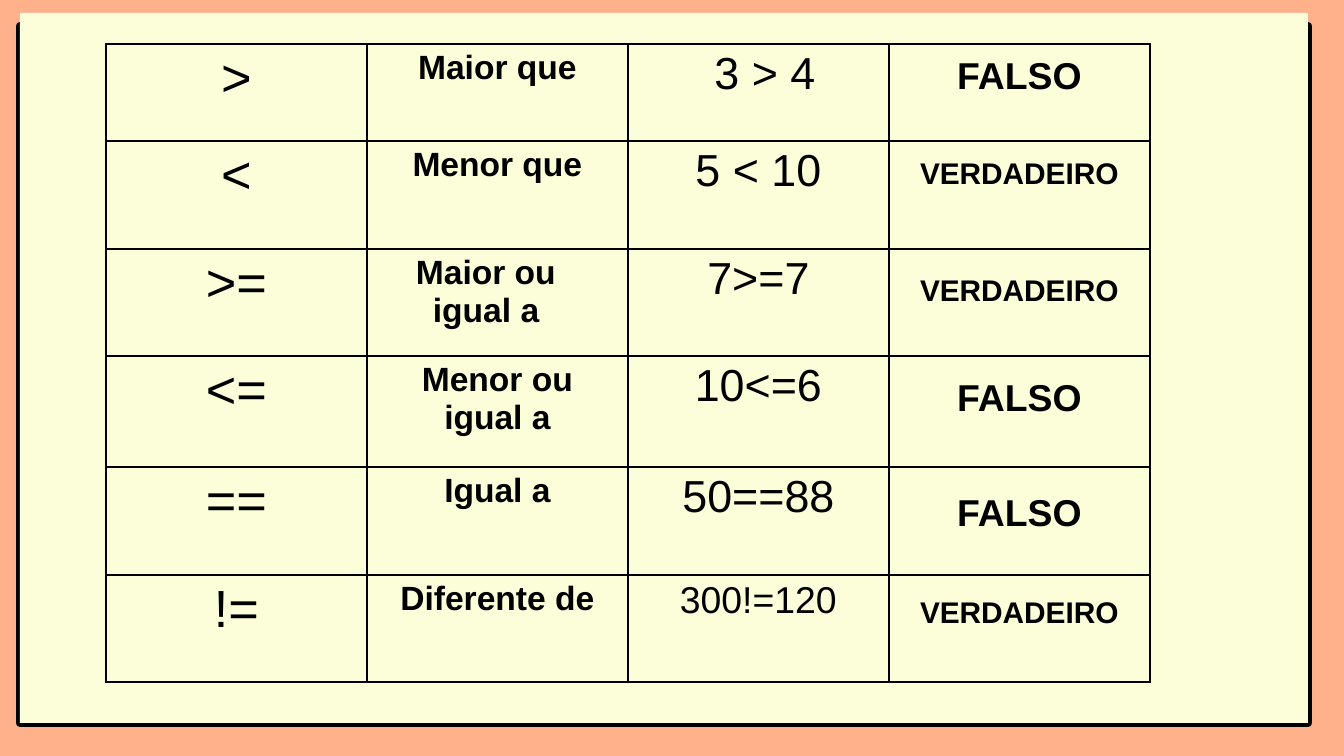
from pptx import Presentation, util as u
from pptx.dml.color import RGBColor
from pptx.enum import shapes, text
from pptx.oxml import parse_xml
from pptx.oxml.ns import nsdecls

EMU_PER_PX = 914400 / 134.4
COLORS = {"background": "FEB18B", "panel": "FBFED9", "ink": "000000"}
FONT = "Arial"

COL_WIDTH = 261
ROW_HEIGHTS = [97, 108, 107, 111, 108, 107]
TOP_MARGIN = 5
# operator, meaning (one paragraph a line), example, result, top margin of result
ROWS = [
    (">", "Maior que", "3 > 4", "FALSO", 12),
    ("<", "Menor que", "5 < 10", "VERDADEIRO", 17),
    (">=", "Maior ou igual a", "7>=7", "VERDADEIRO", 26),
    ("<=", "Menor ou\nigual a", "10<=6", "FALSO", 22),
    ("==", "Igual a", "50==88", "FALSO", 26),
    ("!=", "Diferente de", "300!=120", "VERDADEIRO", 22),
]


def px(n):
    return u.Emu(round(n * EMU_PER_PX))


def color(name):
    return RGBColor.from_string(COLORS[name])


def style_panel(sp, line_width=None):
    sp.shadow.inherit = False
    sp.fill.solid()
    sp.fill.fore_color.rgb = color("panel")
    if line_width:
        sp.line.color.rgb = color("ink")
        sp.line.width = u.Pt(line_width)
    else:
        sp.line.fill.background()


def add_panel(s):
    """Cream sheet over an outlined sheet that shows as its hard shadow."""
    left, top, right, bottom = 20, 26, 1308, 723
    fb = s.shapes.build_freeform(px(left), px(top))
    fb.add_line_segments(
        [(px(right), px(top)), (px(right), px(bottom)), (px(left), px(bottom))])
    style_panel(fb.convert_to_shape(), 4.5)
    style_panel(s.shapes.add_shape(
        shapes.MSO_SHAPE.RECTANGLE, px(left), px(13), px(right - left), px(710)))


def set_borders(cell):
    tc_pr = cell._tc.get_or_add_tcPr()
    for i, side in enumerate("LRTB"):
        tc_pr.insert(i, parse_xml(
            f'<a:ln{side} {nsdecls("a")} w="{u.Pt(1)}"><a:solidFill>'
            f'<a:srgbClr val="{COLORS["ink"]}"/></a:solidFill></a:ln{side}>'))


def fill_cell(cell, words, size, bold=False, top=TOP_MARGIN):
    cell.fill.background()
    set_borders(cell)
    cell.margin_left = cell.margin_right = cell.margin_bottom = 0
    cell.margin_top = px(top)
    tf = cell.text_frame
    tf.text = words
    for p in tf.paragraphs:
        p.alignment = text.PP_ALIGN.CENTER
        p.font.name = FONT
        p.font.size = u.Pt(size)
        p.font.bold = bold
        p.font.color.rgb = color("ink")


def set_indent(cell, left, first=0):
    p = cell.text_frame.paragraphs[0]
    p_pr = p._p.get_or_add_pPr()
    p_pr.set("marL", str(px(left)))
    p_pr.set("indent", str(px(first)))
    return p


def add_operator_table(s):
    table = s.shapes.add_table(
        len(ROWS), 4, px(106), px(44), px(4 * COL_WIDTH), px(sum(ROW_HEIGHTS))).table
    table.first_row = table.horz_banding = False
    for col in table.columns:
        col.width = px(COL_WIDTH)
    for i, (operator, meaning, example, result, result_top) in enumerate(ROWS):
        table.rows[i].height = px(ROW_HEIGHTS[i])
        fill_cell(table.cell(i, 0), operator, 28)
        fill_cell(table.cell(i, 1), meaning, 18, bold=True)
        fill_cell(table.cell(i, 2), example, 20 if len(example) > 6 else 24)
        fill_cell(table.cell(i, 3), result, 20 if result == "FALSO" else 16,
                  bold=True, top=result_top)
    set_indent(table.cell(0, 2), 13)
    set_indent(table.cell(2, 1), 66, -17).alignment = text.PP_ALIGN.LEFT


def main():
    prs = Presentation()
    prs.slide_width, prs.slide_height = px(1344), px(756)
    s = prs.slides.add_slide(prs.slide_layouts[6])
    s.background.fill.solid()
    s.background.fill.fore_color.rgb = color("background")
    add_panel(s)
    add_operator_table(s)
    prs.save("out.pptx")


if __name__ == "__main__":
    main()
